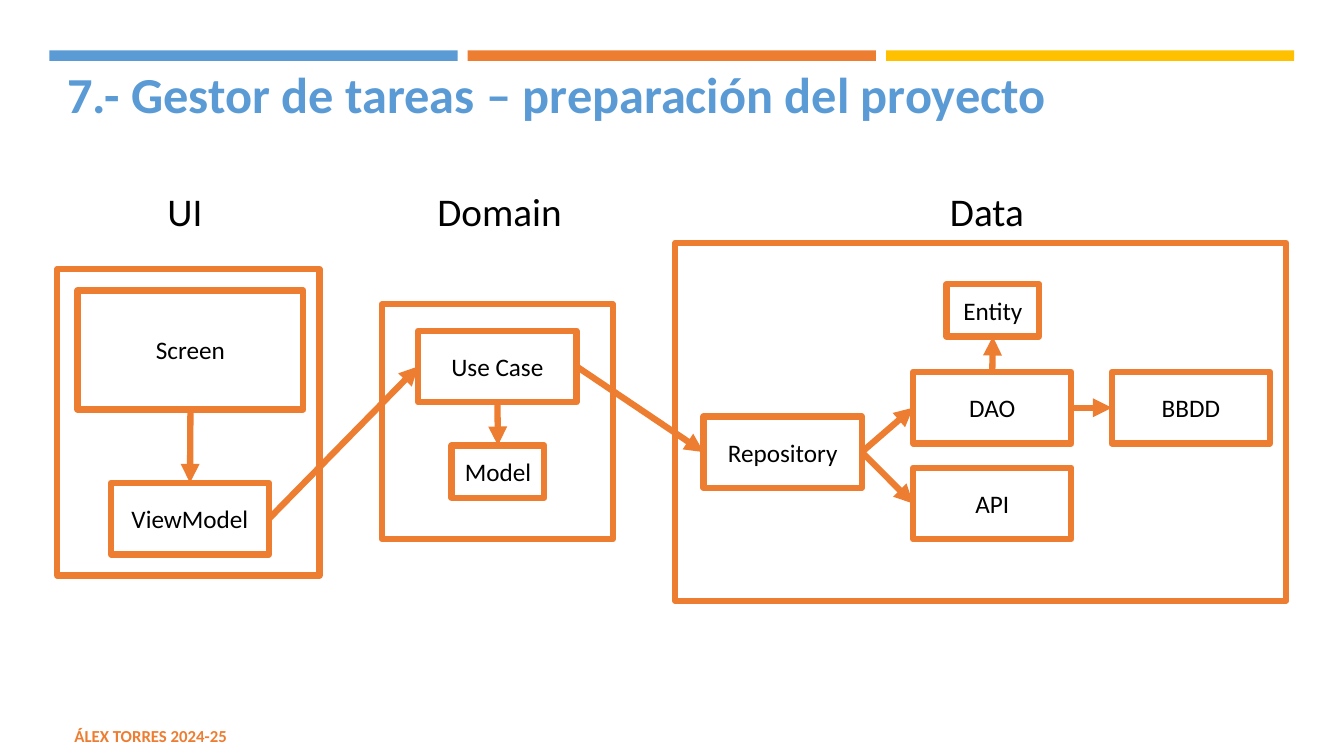
from dataclasses import dataclass

from lxml.etree import SubElement
from pptx import Presentation
from pptx.dml.color import RGBColor
from pptx.enum.shapes import MSO_CONNECTOR, MSO_SHAPE
from pptx.enum.text import MSO_ANCHOR, PP_ALIGN
from pptx.oxml.ns import qn
from pptx.util import Pt


@dataclass(frozen=True)
class Theme:
    blue: RGBColor = RGBColor(0x5B, 0x9B, 0xD5)
    orange: RGBColor = RGBColor(0xED, 0x7D, 0x31)
    yellow: RGBColor = RGBColor(0xFF, 0xC0, 0x00)
    white: RGBColor = RGBColor(0xFF, 0xFF, 0xFF)
    black: RGBColor = RGBColor(0x00, 0x00, 0x00)
    font: str = "Calibri"
    title: int = 36
    heading: int = 28
    node: int = 18
    footer: int = 12
    stroke: float = 4.5


THEME = Theme()
TOP, LEFT, BOTTOM, RIGHT = range(4)
WIDE, SMALL, SCREEN = (113, 51.1), (66.2, 37.4), (161.3, 85)

# Each layer: heading, heading shift, frame, nodes as (left, top, size) within the frame
LAYERS = [
    ("UI", -2.5, (41, 192.2, 187.2, 218.9), {
        "Screen": (14.4, 15.2, SCREEN),
        "ViewModel": (38.2, 152.7, WIDE),
    }),
    ("Domain", 1.5, (272.9, 217.4, 164.9, 167.8), {
        "Use Case": (25.9, 18.8, WIDE),
        "Model": (49.7, 100.8, SMALL),
    }),
    ("Data", 4.4, (482.4, 173.5, 436.3, 255.6), {
        "Repository": (20.2, 123.9, WIDE),
        "DAO": (169.9, 92.2, WIDE),
        "BBDD": (311.8, 92.2, WIDE),
        "API": (169.9, 160.6, WIDE),
        "Entity": (193.7, 29.5, SMALL),
    }),
]

FLOWS = [
    ("Screen", BOTTOM, "ViewModel", TOP),
    ("ViewModel", RIGHT, "Use Case", LEFT),
    ("Use Case", BOTTOM, "Model", TOP),
    ("Use Case", RIGHT, "Repository", LEFT),
    ("Repository", RIGHT, "DAO", LEFT),
    ("Repository", RIGHT, "API", LEFT),
    ("DAO", RIGHT, "BBDD", LEFT),
    ("DAO", TOP, "Entity", BOTTOM),
]


def apply(target, values):
    for name, value in values.items():
        setattr(target, name, value)


def points(box):
    return [Pt(length) for length in box]


def write(holder, text, size, color, bold=False, align=PP_ALIGN.LEFT,
          anchor=MSO_ANCHOR.MIDDLE, **frame_format):
    frame = holder.text_frame
    apply(frame, {"text": text, "word_wrap": True, "vertical_anchor": anchor, **frame_format})
    paragraph = frame.paragraphs[0]
    apply(paragraph, {"alignment": align, "line_spacing": 1.0})
    apply(paragraph.font, {"name": THEME.font, "size": Pt(size), "bold": bold})
    paragraph.font.color.rgb = color


def rectangle(slide, box, fill=None, stroke=None):
    rect = slide.shapes.add_shape(MSO_SHAPE.RECTANGLE, *points(box))
    rect.shadow.inherit = False
    if fill is None:
        rect.fill.background()
    else:
        rect.fill.solid()
        rect.fill.fore_color.rgb = fill
    if stroke is None:
        rect.line.fill.background()
    else:
        rect.line.color.rgb = stroke
        rect.line.width = Pt(THEME.stroke)
    return rect


def add_bars(slide, box):
    left, top, width, height = box
    gap = 7.2
    bar_width = (width - 2 * gap) / 3
    for index, color in enumerate((THEME.blue, THEME.orange, THEME.yellow)):
        rectangle(slide, (left + index * (bar_width + gap), top, bar_width, height), color)


def add_title(slide, box):
    title = slide.shapes.title
    apply(title, dict(zip(("left", "top", "width", "height"), points(box))))
    write(title, "7.- Gestor de tareas – preparación del proyecto", THEME.title, THEME.blue,
          bold=True, anchor=MSO_ANCHOR.TOP, margin_left=Pt(7.2), margin_top=Pt(8))


def add_footer(slide, box):
    footer = slide.shapes.add_textbox(*points(box))
    write(footer, "ÁLEX TORRES 2024-25", THEME.footer, THEME.orange, bold=True)


def add_layer(slide, box, heading, shift, nodes):
    left, top, width, _ = box
    rectangle(slide, box, stroke=THEME.orange)
    label = slide.shapes.add_textbox(*points((left + shift, 130, width, 41)))
    write(label, heading, THEME.heading, THEME.black, align=PP_ALIGN.CENTER)
    placed = {}
    for name, (dx, dy, size) in nodes.items():
        node = rectangle(slide, (left + dx, top + dy, *size), THEME.white, THEME.orange)
        write(node, name, THEME.node, THEME.black, align=PP_ALIGN.CENTER)
        placed[name] = node
    return placed


def add_flow(slide, source, source_side, target, target_side):
    flow = slide.shapes.add_connector(MSO_CONNECTOR.STRAIGHT, 0, 0, 0, 0)
    flow.begin_connect(source, source_side)
    flow.end_connect(target, target_side)
    flow.line.color.rgb = THEME.orange
    flow.line.width = Pt(THEME.stroke)
    properties = flow.element.spPr
    SubElement(properties.find(qn("a:ln")), qn("a:tailEnd"), type="triangle")
    SubElement(properties, qn("a:effectLst"))


def main():
    presentation = Presentation()
    apply(presentation, {"slide_width": Pt(960), "slide_height": Pt(540)})
    slide = presentation.slides.add_slide(presentation.slide_layouts[5])

    # Page furniture
    add_bars(slide, (35.3, 36, 889.2, 7.5))
    add_title(slide, (41, 37.4, 878.4, 52.6))
    add_footer(slide, (46.1, 511.2, 544.3, 28.8))

    # Architecture layers
    nodes = {}
    for heading, shift, box, layer_nodes in LAYERS:
        nodes.update(add_layer(slide, box, heading, shift, layer_nodes))

    # Flows between components
    for source, source_side, target, target_side in FLOWS:
        add_flow(slide, nodes[source], source_side, nodes[target], target_side)

    presentation.save("out.pptx")


if __name__ == "__main__":
    main()
